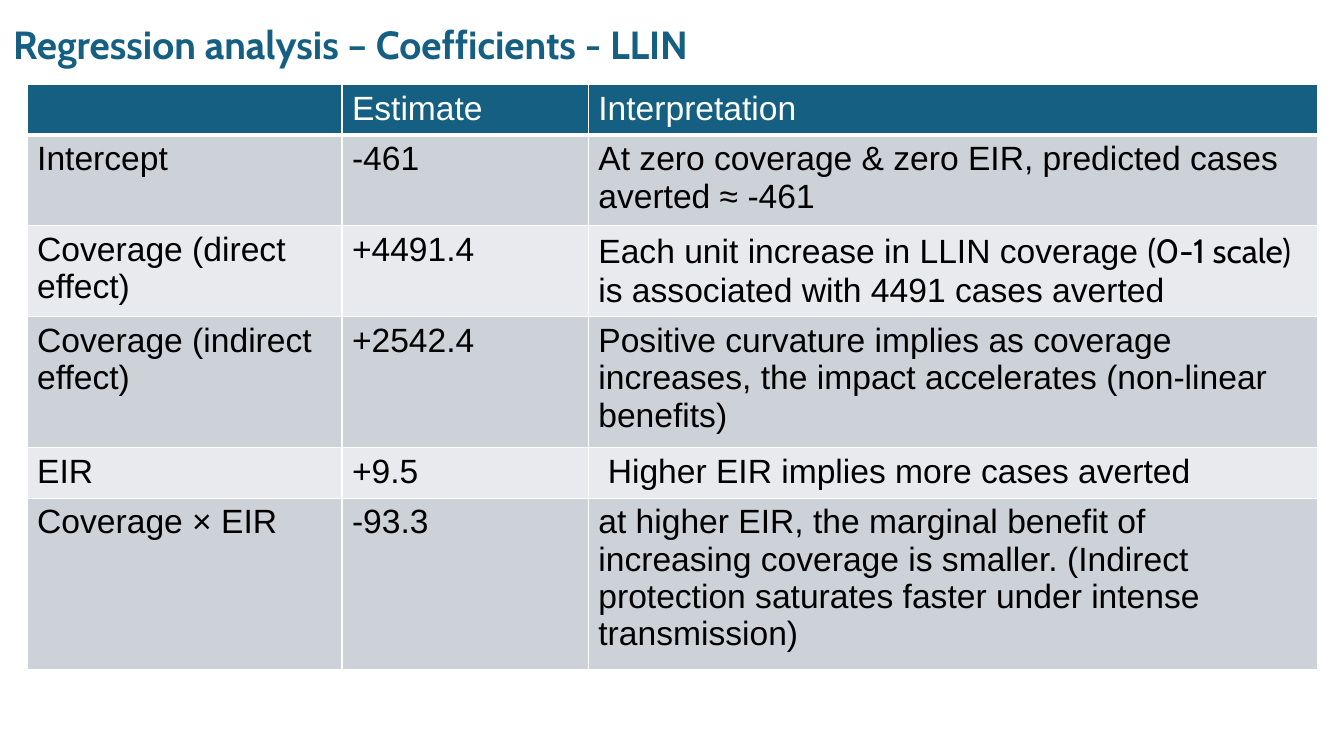
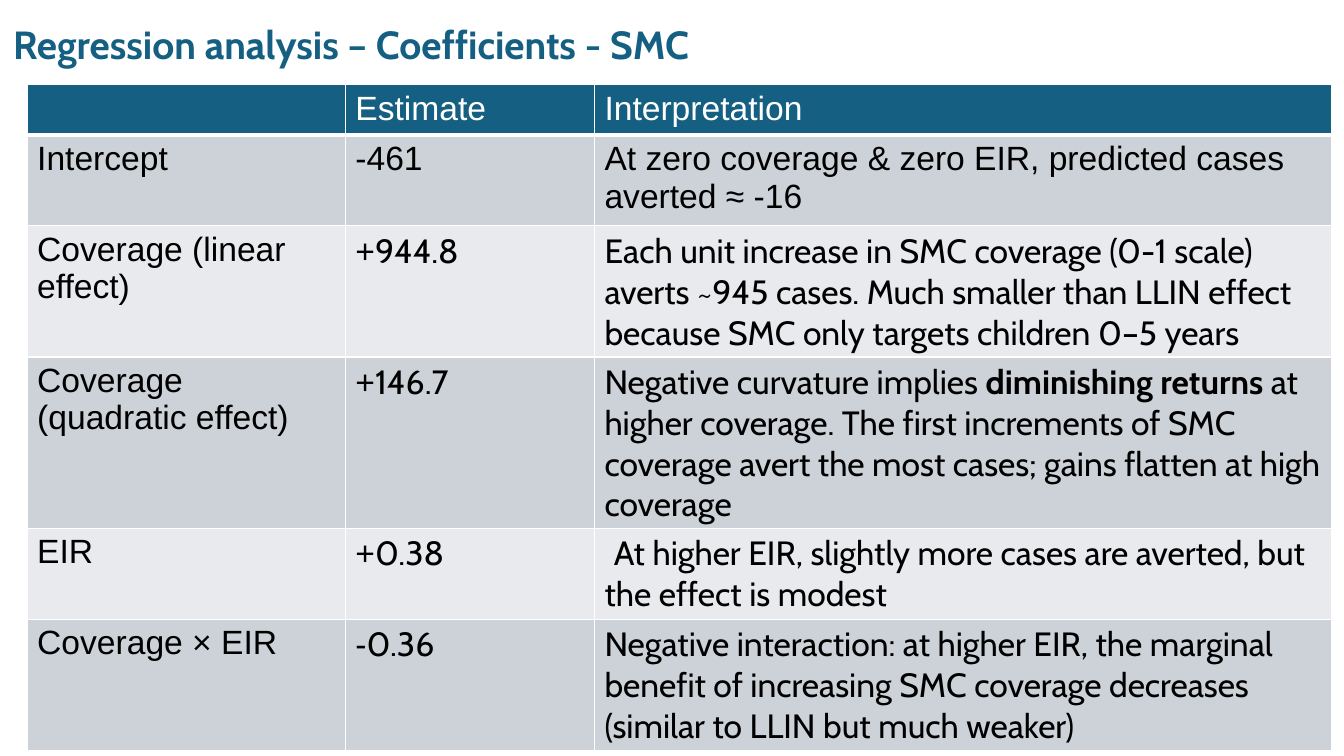
import lxml.etree
import pptx
import pptx.dml.color
import pptx.enum.text
import pptx.oxml.ns
import pptx.util

Pt = pptx.util.Pt
COLOURS = {
    "accent": "156082",
    "dark_band": "CCD2D8",
    "light_band": "E8EAED",
    "text": "000000",
    "white": "FFFFFF",
}
PLAIN, BRAND = "Arial", "Cabin"
TITLE_BOX = (9.4, 4.3, 849, 58.3)
COLUMN_SHARES = (0.244, 0.191, 0.565)
ROW_HEIGHT = 29.5
THIN, THICK = 1, 3
FIRST_LINE_INDENT = 6.7
HEADINGS = ([], [("Estimate", PLAIN)], [("Interpretation", PLAIN)])

SLIDES = [
    {
        "title": "Regression analysis – Coefficients - LLIN",
        "box": (19.4, 60.5, 921.6),
        "rows": [
            ("Intercept", [("-461", PLAIN)],
             [("At zero coverage & zero EIR, predicted cases averted ≈ -461", PLAIN)]),
            ("Coverage (direct effect)", [("+4491.4", PLAIN)],
             [("Each unit increase in LLIN coverage ", PLAIN),
              ("(0-1 scale) ", BRAND),
              ("is associated with 4491 cases averted", PLAIN)]),
            ("Coverage (indirect effect)", [("+2542.4", PLAIN)],
             [("Positive curvature implies as coverage increases, the impact "
               "accelerates (non-linear benefits)", PLAIN)]),
            ("EIR", [("+9.5", PLAIN)],
             [("Higher EIR implies more cases averted", PLAIN)]),
            ("Coverage × EIR", [("-93.3", PLAIN)],
             [("at higher EIR, the marginal benefit of increasing coverage is smaller. "
               "(Indirect protection saturates faster under intense transmission)", PLAIN)]),
        ],
    },
    {
        "title": "Regression analysis – Coefficients - SMC",
        "box": (19.4, 60.5, 931.7),
        "rows": [
            ("Intercept", [("-461", PLAIN)],
             [("At zero coverage & zero EIR, predicted cases averted ≈ -16", PLAIN)]),
            ("Coverage (linear effect)", [("+", PLAIN), ("944.8", BRAND)],
             [("Each unit increase in SMC coverage (0-1 scale) averts ~945 cases. "
               "Much smaller than LLIN effect because SMC only targets children "
               "0–5 years", BRAND)]),
            ("Coverage (quadratic effect)", [("+", PLAIN), ("146.7", BRAND)],
             [("Negative curvature implies ", BRAND),
              ("diminishing returns", BRAND, True),
              (" at higher coverage. The first increments of SMC coverage avert "
               "the most cases; gains flatten at high coverage", BRAND)]),
            ("EIR", [("+", PLAIN), ("0.38", BRAND)],
             [("At higher EIR, slightly more cases are averted, but the effect "
               "is modest", BRAND)]),
            ("Coverage × EIR", [("-", PLAIN), ("0.36", BRAND)],
             [("Negative interaction: at higher EIR, the marginal benefit of "
               "increasing SMC coverage decreases (similar to LLIN but much "
               "weaker)", BRAND)]),
        ],
    },
]


def rgb(name):
    """Return the named colour."""
    return pptx.dml.color.RGBColor.from_string(COLOURS[name])


def apply_format(target, values):
    """Set every attribute in values on target."""
    for name, value in values.items():
        setattr(target, name, value)


def add_span(para, text, font, size, colour, bold=False):
    """Add one formatted run to a paragraph."""
    span = para.add_run()
    span.text = text
    apply_format(span.font, {"name": font, "size": Pt(size), "bold": bold})
    span.font.color.rgb = rgb(colour)


def add_title(page, text, box):
    """Write the slide title in the given box."""
    frame = page.shapes.add_textbox(*map(Pt, box)).text_frame
    apply_format(frame, {
        "word_wrap": True,
        "vertical_anchor": pptx.enum.text.MSO_ANCHOR.MIDDLE,
        "margin_left": 0,
    })
    para = frame.paragraphs[0]
    apply_format(para, {
        "alignment": pptx.enum.text.PP_ALIGN.JUSTIFY,
        "line_spacing": 0.9,
    })
    add_span(para, text, BRAND, 28, "accent", True)


def add_borders(cell, top, bottom):
    """Draw white borders round a cell."""
    qn = pptx.oxml.ns.qn
    properties = cell._tc.get_or_add_tcPr()
    for side, width in {"L": THIN, "R": THIN, "T": top, "B": bottom}.items():
        line = lxml.etree.SubElement(properties, qn(f"a:ln{side}"), w=str(Pt(width)))
        fill = lxml.etree.SubElement(line, qn("a:solidFill"))
        lxml.etree.SubElement(fill, qn("a:srgbClr"), val=COLOURS["white"])


def fill_cell(cell, spans, row):
    """Format a cell by its row and write its runs."""
    add_borders(cell, THICK if row == 1 else THIN, THICK if row == 0 else THIN)
    band = "accent" if row == 0 else ("light_band", "dark_band")[row % 2]
    cell.fill.solid()
    cell.fill.fore_color.rgb = rgb(band)
    for text, font, *bold in spans:
        add_span(cell.text_frame.paragraphs[0], text, font, 24,
                 "text" if row else "white", *bold)


def add_coefficients(page, rows, box):
    """Build the coefficient table in a left, top, width box."""
    left, top, width = box
    lines = [HEADINGS] + [([(label, PLAIN)], estimate, meaning)
                          for label, estimate, meaning in rows]
    table = page.shapes.add_table(
        len(lines), len(COLUMN_SHARES), Pt(left), Pt(top), Pt(width),
        Pt(ROW_HEIGHT * len(lines))).table
    table.horz_banding = False
    for column, share in zip(table.columns, COLUMN_SHARES):
        column.width = Pt(width * share)
    for row, cells in enumerate(lines):
        for column, spans in enumerate(cells):
            fill_cell(table.cell(row, column), spans, row)
        if cells[0] == [("EIR", PLAIN)]:
            para = table.cell(row, 2).text_frame.paragraphs[0]
            para._p.get_or_add_pPr().set("indent", str(Pt(FIRST_LINE_INDENT)))


def main():
    """Build and save the deck."""
    deck = pptx.Presentation()
    apply_format(deck, {"slide_width": Pt(960), "slide_height": Pt(540)})
    for content in SLIDES:
        page = deck.slides.add_slide(deck.slide_layouts[6])
        add_title(page, content["title"], TITLE_BOX)
        add_coefficients(page, content["rows"], content["box"])
    deck.save("out.pptx")


if __name__ == "__main__":
    main()
